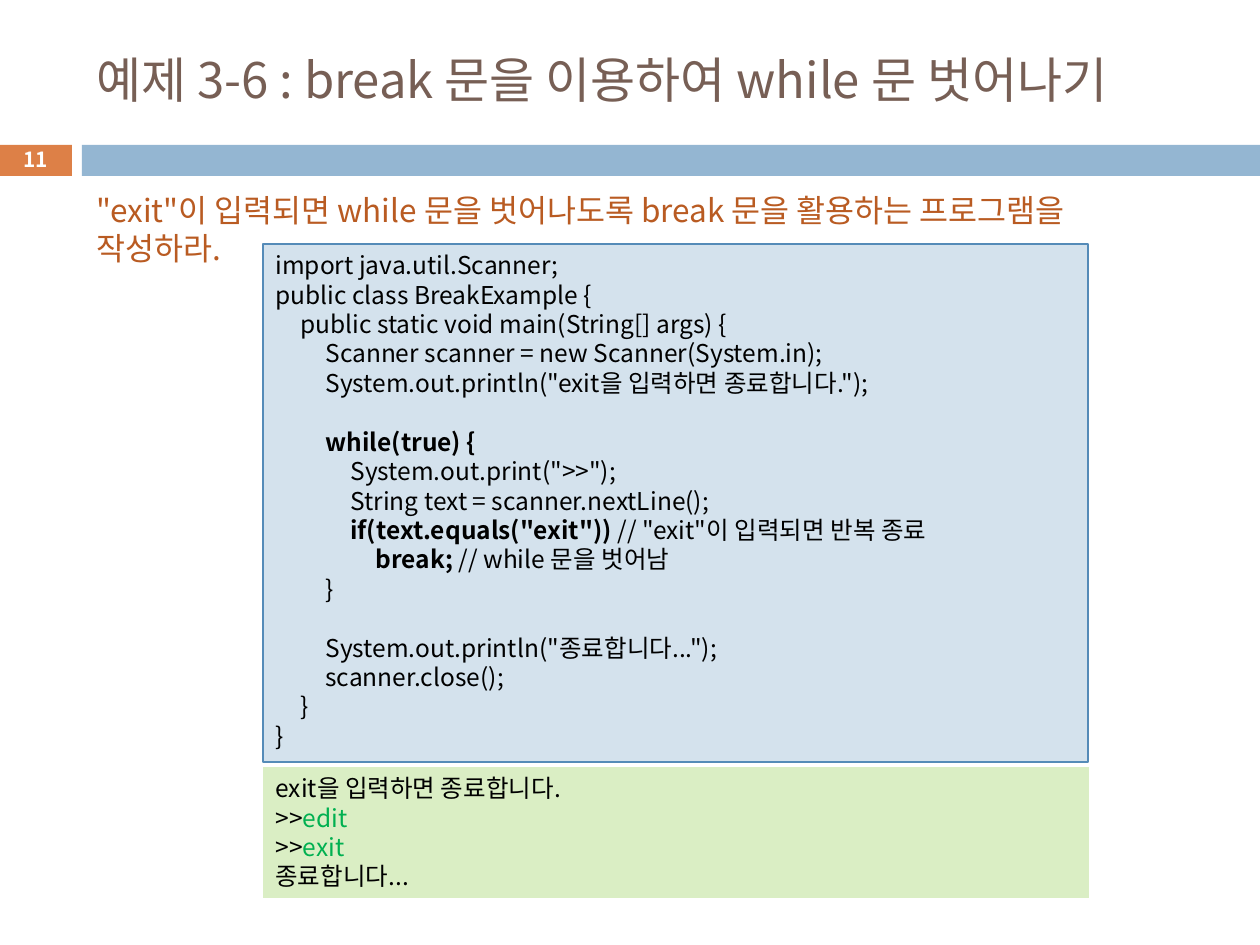
from dataclasses import dataclass

from lxml import etree
from pptx import Presentation
from pptx.dml.color import RGBColor
from pptx.enum.shapes import MSO_SHAPE
from pptx.enum.text import MSO_ANCHOR, PP_ALIGN
from pptx.oxml.ns import qn
from pptx.slide import Slide
from pptx.text.text import TextFrame
from pptx.util import Emu, Pt

RECT = MSO_SHAPE.RECTANGLE
TOP, MID = MSO_ANCHOR.TOP, MSO_ANCHOR.MIDDLE
LEFT, MIDDLE = PP_ALIGN.LEFT, PP_ALIGN.CENTER
SCALE = 914400 / 126
FONT = "Noto Sans CJK KR"
TAB = 25
GAP = 16.8
HEX = {
    "title": "775F55", "task": "B95B22", "badge": "DD8047", "bar": "94B6D2",
    "code": "D4E2ED", "edge": "558BB8", "result": "DAEEC4",
    "ink": "000000", "input": "00B050", "white": "FFFFFF",
}


@dataclass(frozen=True)
class Bit:
    text: str
    bold: bool = False
    ink: str = ""


@dataclass(frozen=True)
class Line:
    bits: tuple[Bit, ...]
    tabs: int = 0
    gap: bool = False


@dataclass(frozen=True)
class Box:
    left: int
    top: int
    width: int
    height: int
    fill: str = ""
    edge: str = ""
    lines: tuple[Line, ...] = ()
    size: float = 14
    ink: str = "ink"
    anchor: MSO_ANCHOR = TOP
    align: PP_ALIGN = LEFT


def px(count: int) -> Emu:
    return Emu(round(count * SCALE))


def color(name: str) -> RGBColor:
    return RGBColor.from_string(HEX[name])


def plain(text: str, tabs: int = 0, gap: bool = False) -> Line:
    return Line((Bit(text),), tabs, gap)


def strong(text: str, note: str, tabs: int) -> Line:
    return Line((Bit(text, True), Bit(note)), tabs)


def typed(text: str) -> Line:
    return Line((Bit(">>"), Bit(text, ink="input")))


def write(frame: TextFrame, box: Box) -> None:
    frame.word_wrap = True
    frame.vertical_anchor = box.anchor
    frame.text = "\n".join("\t" * line.tabs + line.bits[0].text for line in box.lines)
    for para, line in zip(frame.paragraphs, box.lines):
        para.alignment = box.align
        if line.gap:
            para.space_before = Pt(GAP)
        if line.tabs:
            stops = etree.SubElement(para._p.get_or_add_pPr(), qn("a:tabLst"))
            for step in range(1, line.tabs + 1):
                etree.SubElement(stops, qn("a:tab"), pos=str(px(step * TAB)), algn="l")
        for bit in line.bits[1:]:
            para.add_run().text = bit.text
        for run, bit in zip(para.runs, line.bits):
            font = run.font
            font.name, font.size, font.bold = FONT, Pt(box.size), bit.bold
            font.color.rgb = color(bit.ink or box.ink)
            etree.SubElement(run._r.get_or_add_rPr(), qn("a:ea"), typeface=FONT)


def draw(slide: Slide, box: Box) -> None:
    place = [px(side) for side in (box.left, box.top, box.width, box.height)]
    if box.fill:
        shape = slide.shapes.add_shape(RECT, *place)
        shape.shadow.inherit = False
        shape.fill.solid()
        shape.fill.fore_color.rgb = color(box.fill)
        if box.edge:
            shape.line.color.rgb = color(box.edge)
            shape.line.width = Pt(0.75)
        else:
            shape.line.fill.background()
    else:
        shape = slide.shapes.add_textbox(*place)
    if box.lines:
        write(shape.text_frame, box)


CODE = (
    plain("import java.util.Scanner;"),
    plain("public class BreakExample {"),
    plain("public static void main(String[] args) {", 1),
    plain("Scanner scanner = new Scanner(System.in);", 2),
    plain('System.out.println("exit을 입력하면 종료합니다.");', 2),
    Line((Bit("while(true) {", True),), 2, True),
    plain('System.out.print(">>");', 3),
    plain("String text = scanner.nextLine();", 3),
    strong('if(text.equals("exit")) ', '// "exit"이 입력되면 반복 종료', 3),
    strong("break; ", "// while 문을 벗어남", 4),
    plain("}", 2),
    plain('System.out.println("종료합니다...");', 2, True),
    plain("scanner.close();", 2),
    plain("}", 1),
    plain("}"),
)
RESULT = (
    plain("exit을 입력하면 종료합니다."),
    typed("edit"),
    typed("exit"),
    plain("종료합니다..."),
)
TITLE = plain("예제 3-6 : break 문을 이용하여 while 문 벗어나기")
TASK = plain('"exit"이 입력되면 while 문을 벗어나도록 break 문을 활용하는 프로그램을 작성하라.')
BOXES = (
    Box(-1, 145, 73, 31, "badge"),
    Box(82, 145, 1178, 31, "bar"),
    Box(84, 32, 1124, 93, lines=(TITLE,), size=28, ink="title", anchor=MID),
    Box(84, 185, 1077, 89, lines=(TASK,), size=18, ink="task"),
    Box(263, 244, 825, 518, "code", "edge", CODE),
    Box(263, 767, 826, 131, "result", lines=RESULT),
    Box(-1, 142, 73, 34, lines=(Line((Bit("11", True),)),), size=11.9,
        ink="white", anchor=MID, align=MIDDLE),
)


def main() -> None:
    deck = Presentation()
    deck.slide_width, deck.slide_height = px(1260), px(945)
    slide = deck.slides.add_slide(deck.slide_layouts[6])
    for box in BOXES:
        draw(slide, box)
    deck.save("out.pptx")


if __name__ == "__main__":
    main()
